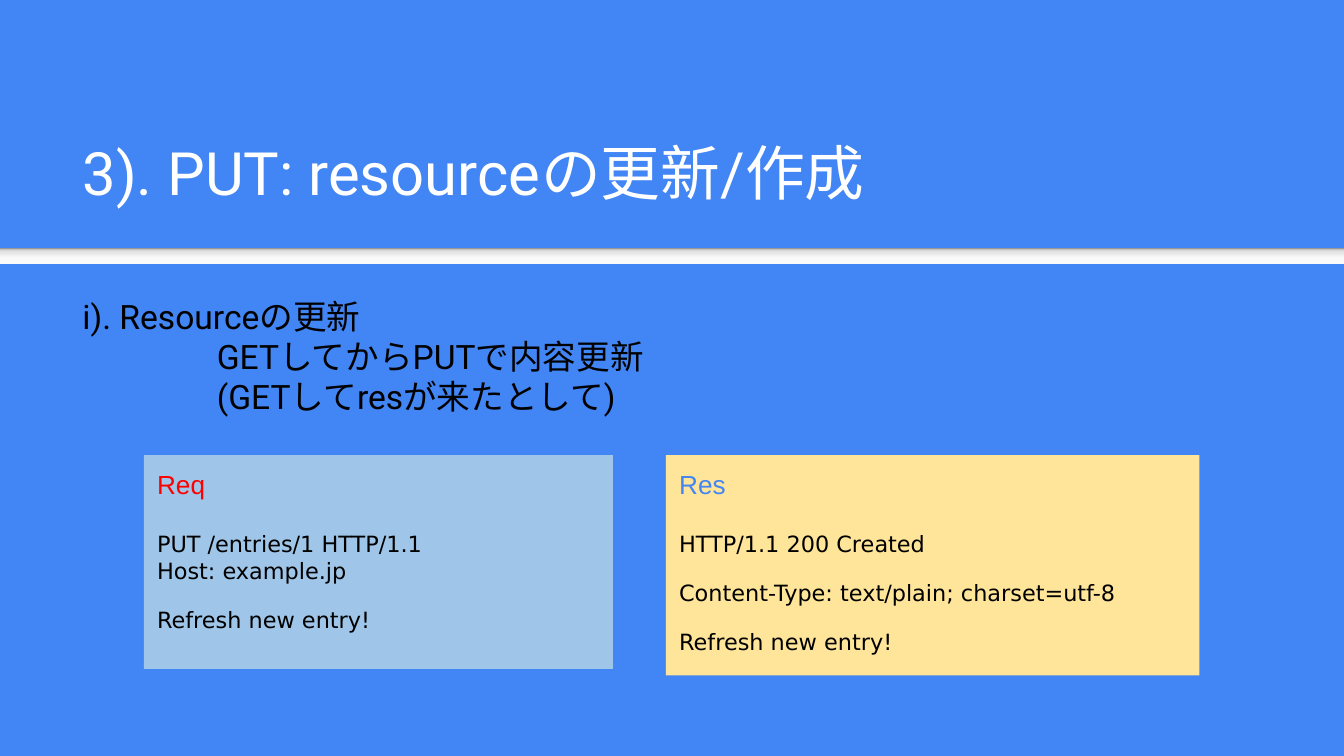
import dataclasses

import lxml.etree
import pptx
import pptx.dml.color
import pptx.enum.shapes
import pptx.enum.text
import pptx.oxml.ns
import pptx.util


@dataclasses.dataclass(frozen=True)
class Theme:
    blue: str = "4285F4"
    white: str = "FFFFFF"
    black: str = "000000"
    red: str = "FF0000"
    request: str = "9FC5E8"
    response: str = "FFE599"
    band: tuple = ((0, "F9F9F9"), (36, "F9F9F9"), (80, "DEDEDE"), (100, "999999"))
    main_font: str = "Roboto"
    label_font: str = "Arial"
    message_font: str = "DejaVu Sans"
    title_size: int = 32
    body_size: int = 18
    label_size: int = 14
    message_size: int = 12
    label_gap: float = 16.4
    message_gap: float = 11.7
    inset: float = 0.1


THEME = Theme()
WIDTH, HEIGHT = pptx.util.Pt(720), pptx.util.Pt(405)
COLUMNS, ROWS = 100, 100


def rgb(value):
    return pptx.dml.color.RGBColor.from_string(value)


def apply_format(target, values):
    for name, value in values.items():
        setattr(target, name, value)


def grid_box(box, column, row, columns, rows):
    left, top, width, height = box
    return (round(left + column * width / COLUMNS), round(top + row * height / ROWS),
            round(columns * width / COLUMNS), round(rows * height / ROWS))


def prepare_frame(shape, anchor):
    inset = pptx.util.Inches(THEME.inset)
    apply_format(shape.text_frame, {
        "word_wrap": True,
        "vertical_anchor": anchor,
        "margin_left": inset,
        "margin_top": inset,
        "margin_right": inset,
        "margin_bottom": inset,
    })
    return shape.text_frame


def write_para(frame, text, font, size, color, before=0, hanging=0):
    first = frame.paragraphs[0]
    para = first if not first.runs else frame.add_paragraph()
    para.text = text
    apply_format(para, {
        "alignment": pptx.enum.text.PP_ALIGN.LEFT,
        "space_before": pptx.util.Pt(before),
        "line_spacing": 1.0,
    })
    if hanging:
        properties = para._p.get_or_add_pPr()
        properties.set("marL", str(pptx.util.Inches(hanging)))
        properties.set("indent", str(pptx.util.Inches(-hanging)))
    for span in para.runs:
        apply_format(span.font, {"name": font, "size": pptx.util.Pt(size)})
        span.font.color.rgb = rgb(color)
        east_asian = lxml.etree.SubElement(span.font._element, pptx.oxml.ns.qn("a:ea"))
        east_asian.set("typeface", font)


def add_panel(page, box):
    panel = page.shapes.add_shape(pptx.enum.shapes.MSO_SHAPE.RECTANGLE, *box)
    panel.shadow.inherit = False
    panel.line.fill.background()
    return panel


def draw_band(page, box):
    band = add_panel(page, box)
    band.fill.gradient()
    band.fill.gradient_angle = 90
    stops = band._element.spPr.find(".//" + pptx.oxml.ns.qn("a:gsLst"))
    for stop in list(stops):
        stops.remove(stop)
    for position, color in THEME.band:
        stop = lxml.etree.SubElement(stops, pptx.oxml.ns.qn("a:gs"))
        stop.set("pos", str(position * 1000))
        lxml.etree.SubElement(stop, pptx.oxml.ns.qn("a:srgbClr")).set("val", color)


def draw_title(page, box, text):
    frame = prepare_frame(page.shapes.add_textbox(*box), pptx.enum.text.MSO_ANCHOR.BOTTOM)
    write_para(frame, text, THEME.main_font, THEME.title_size, THEME.white)


def draw_body(page, box, lines):
    frame = prepare_frame(page.shapes.add_textbox(*box), pptx.enum.text.MSO_ANCHOR.TOP)
    write_para(frame, "\v".join(lines), THEME.main_font, THEME.body_size,
               THEME.black, hanging=1)


def draw_message(page, box, fill, label, label_color, blocks):
    panel = add_panel(page, box)
    panel.fill.solid()
    panel.fill.fore_color.rgb = rgb(fill)
    frame = prepare_frame(panel, pptx.enum.text.MSO_ANCHOR.TOP)
    write_para(frame, label, THEME.label_font, THEME.label_size, label_color)
    for index, block in enumerate(blocks):
        gap = THEME.message_gap if index else THEME.label_gap
        write_para(frame, block, THEME.message_font, THEME.message_size,
                   THEME.black, before=gap)


def draw_page(page, box):
    fill = page.background.fill
    fill.solid()
    fill.fore_color.rgb = rgb(THEME.blue)
    draw_band(page, grid_box(box, 0, 32.75, 100, 2.15))
    draw_title(page, grid_box(box, 5.15, 14.3, 89.9, 14.9),
               "3). PUT: resourceの更新/作成")
    draw_body(page, grid_box(box, 5.15, 37.35, 89.9, 13.9),
              ("i). Resourceの更新", "GETしてからPUTで内容更新", "(GETしてresが来たとして)"))
    draw_message(page, grid_box(box, 10.7, 60.2, 34.9, 28.3),
                 THEME.request, "Req", THEME.red,
                 ("PUT /entries/1 HTTP/1.1\vHost: example.jp", "Refresh new entry!"))
    draw_message(page, grid_box(box, 49.55, 60.2, 39.7, 29.15),
                 THEME.response, "Res", THEME.blue,
                 ("HTTP/1.1 200 Created", "Content-Type: text/plain; charset=utf-8",
                  "Refresh new entry!"))


def main():
    deck = pptx.Presentation()
    apply_format(deck, {"slide_width": WIDTH, "slide_height": HEIGHT})
    page = deck.slides.add_slide(deck.slide_layouts[6])
    draw_page(page, (0, 0, WIDTH, HEIGHT))
    deck.save("out.pptx")


if __name__ == "__main__":
    main()
